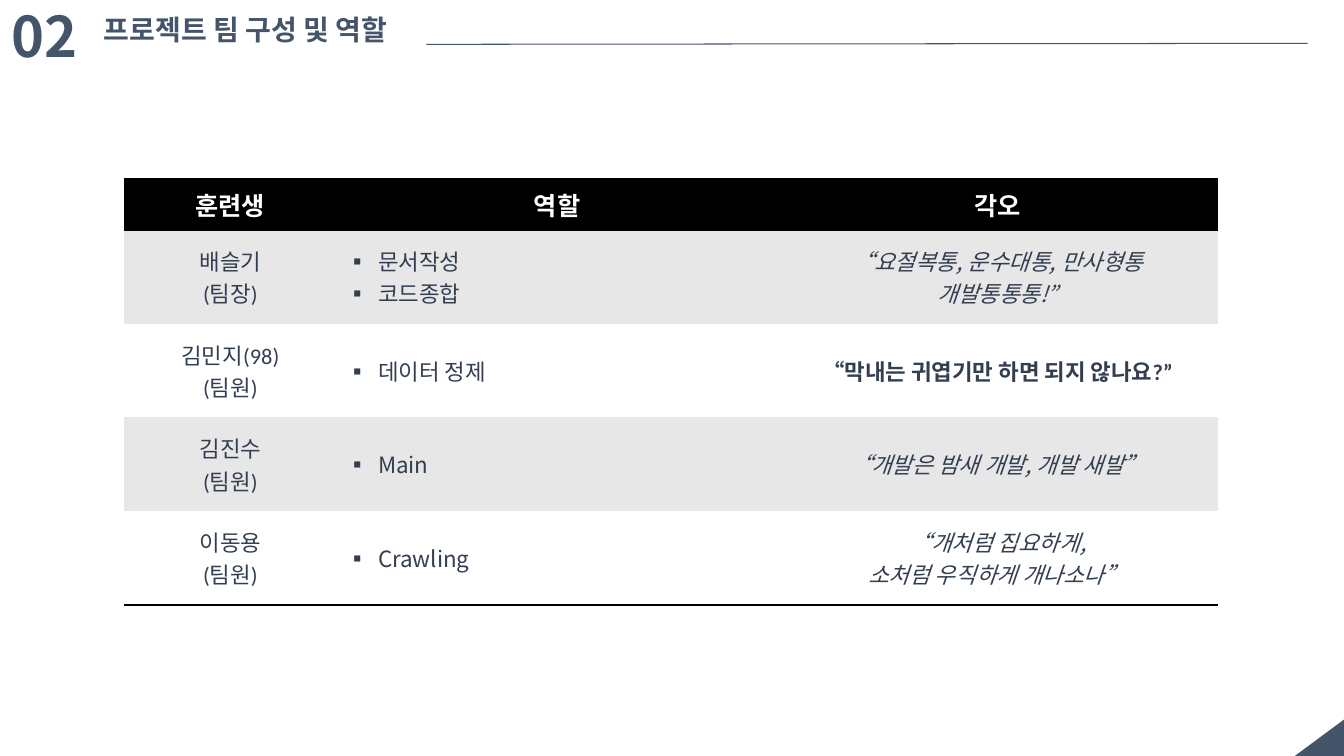
from lxml.etree import SubElement
from pptx import Presentation
from pptx.dml.color import RGBColor
from pptx.enum.shapes import MSO_CONNECTOR, MSO_SHAPE
from pptx.enum.text import MSO_ANCHOR, PP_ALIGN
from pptx.oxml import parse_xml
from pptx.oxml.ns import nsdecls, qn
from pptx.util import Inches, Pt

SLATE = RGBColor(0x44, 0x55, 0x69)
INK = RGBColor(0x33, 0x3F, 0x50)
BLACK = RGBColor(0, 0, 0)
WHITE = RGBColor(255, 255, 255)
GRAY = RGBColor(0xE7, 0xE7, 0xE7)
NOTO, CALIBRI, ARIAL = "Noto Sans CJK KR", "Calibri", "Arial"
NO_STYLE = "{2D5ABB26-0587-4C30-8999-92F81FD0307C}"

TITLE = "프로젝트 팀 구성 및 역할"
HEADERS = ["훈련생", "역할", "각오"]
# Member lines, role lines, motto lines, motto format
TEAM = [
    (["배슬기", "(팀장)"], ["문서작성", "코드종합"],
     ["“요절복통, 운수대통, 만사형통", "개발통통통!”"], dict(font=NOTO, italic=True)),
    (["김민지(98)", "(팀원)"], ["데이터 정제"],
     ["“막내는 귀엽기만 하면 되지 않나요?”"], dict(font=CALIBRI, bold=True)),
    (["김진수", "(팀원)"], ["Main"],
     ["“개발은 밤새 개발, 개발 새발”"], dict(font=NOTO, italic=True)),
    (["이동용", "(팀원)"], ["Crawling"],
     ["“개처럼 집요하게,", "소처럼 우직하게 개나소나”"], dict(font=NOTO, italic=True)),
]
COL_WIDTHS = [2.11, 4.37, 4.37]
ROW_HEIGHTS = [0.5] + [0.93] * len(TEAM)


def write(tf, lines, size=16, font=CALIBRI, color=INK, bold=False,
          italic=False, align=PP_ALIGN.CENTER, bullet=None):
    """Write one paragraph per line in a single format."""
    for i, line in enumerate(lines):
        p = tf.add_paragraph() if i else tf.paragraphs[0]
        p.alignment = align
        r = p.add_run()
        r.text = line
        f = r.font
        f.size, f.name, f.bold, f.italic = Pt(size), font, bold, italic
        f.color.rgb = color
        SubElement(r._r.get_or_add_rPr(), qn("a:ea")).set("typeface", NOTO)
        if bullet:
            pPr = p._p.get_or_add_pPr()
            pPr.set("marL", str(Inches(0.31)))
            pPr.set("indent", str(Inches(-0.31)))
            SubElement(pPr, qn("a:buFont")).set("typeface", NOTO)
            SubElement(pPr, qn("a:buChar")).set("char", bullet)


def place(sp, x, y, w, h):
    """Move and size a shape, in inches."""
    sp.left, sp.top, sp.width, sp.height = map(Inches, (x, y, w, h))


def fill_cell(cell, lines, fill, edges=(), **fmt):
    """Fill a table cell and draw black rules on the given edges."""
    cell.vertical_anchor = MSO_ANCHOR.MIDDLE
    cell.fill.solid()
    cell.fill.fore_color.rgb = fill
    write(cell.text_frame, lines, **fmt)
    for i, edge in enumerate(edges):
        cell._tc.get_or_add_tcPr().insert(i, parse_xml(
            f'<a:{edge} {nsdecls("a")} w="{Pt(2)}"><a:solidFill>'
            f'<a:srgbClr val="{BLACK}"/></a:solidFill></a:{edge}>'))


def add_team_table(s):
    """Add the table of members, roles and mottos."""
    frame = s.shapes.add_table(
        len(ROW_HEIGHTS), len(COL_WIDTHS), Inches(1.23), Inches(1.78),
        Inches(sum(COL_WIDTHS)), Inches(sum(ROW_HEIGHTS)))
    table = frame.table
    table._tbl.tblPr.find(qn("a:tableStyleId")).text = NO_STYLE
    for col, width in zip(table.columns, COL_WIDTHS):
        col.width = Inches(width)
    for row, height in zip(table.rows, ROW_HEIGHTS):
        row.height = Inches(height)
    for c, header in enumerate(HEADERS):
        fill_cell(table.cell(0, c), [header], BLACK, ("lnT", "lnB"),
                  size=18, color=WHITE, bold=True)
    for n, (member, roles, motto, motto_format) in enumerate(TEAM, 1):
        fill = GRAY if n % 2 else WHITE
        edges = ("lnB",) if n == len(TEAM) else ()
        fill_cell(table.cell(n, 0), member, fill, edges)
        fill_cell(table.cell(n, 1), roles, fill, edges, font=NOTO,
                  align=PP_ALIGN.LEFT, bullet="▪")
        fill_cell(table.cell(n, 2), motto, fill, edges, **motto_format)


prs = Presentation()
prs.slide_width, prs.slide_height = Inches(13.33), Inches(7.5)
s = prs.slides.add_slide(prs.slide_layouts[5])

corner = s.shapes.add_shape(MSO_SHAPE.RIGHT_TRIANGLE, 0, 0, 0, 0)
place(corner, 12.9, 7.07, 0.37, 0.5)
corner.rotation = 270
corner.shadow.inherit = False
corner.fill.solid()
corner.fill.fore_color.rgb = SLATE
corner.line.fill.background()

number = s.shapes.add_textbox(0, 0, 0, 0)
place(number, 0.02, -0.03, 1.27, 0.77)
number.text_frame.word_wrap = True
write(number.text_frame, ["02"], size=40, font=NOTO, color=SLATE,
      bold=True, align=PP_ALIGN.LEFT)

title = s.shapes.title
place(title, 0.93, 0.07, 3.4, 0.44)
title.text_frame.word_wrap = False
title.text_frame.vertical_anchor = MSO_ANCHOR.MIDDLE
write(title.text_frame, [TITLE], size=20, font=ARIAL, color=SLATE,
      bold=True, align=PP_ALIGN.LEFT)

rule = s.shapes.add_connector(MSO_CONNECTOR.STRAIGHT, Inches(4.23), Inches(0.44),
                              Inches(12.97), Inches(0.43))
rule.line.color.rgb = SLATE
rule.line.width = Pt(0.75)
SubElement(rule._element.spPr, qn("a:effectLst"))

add_team_table(s)
prs.save("out.pptx")
